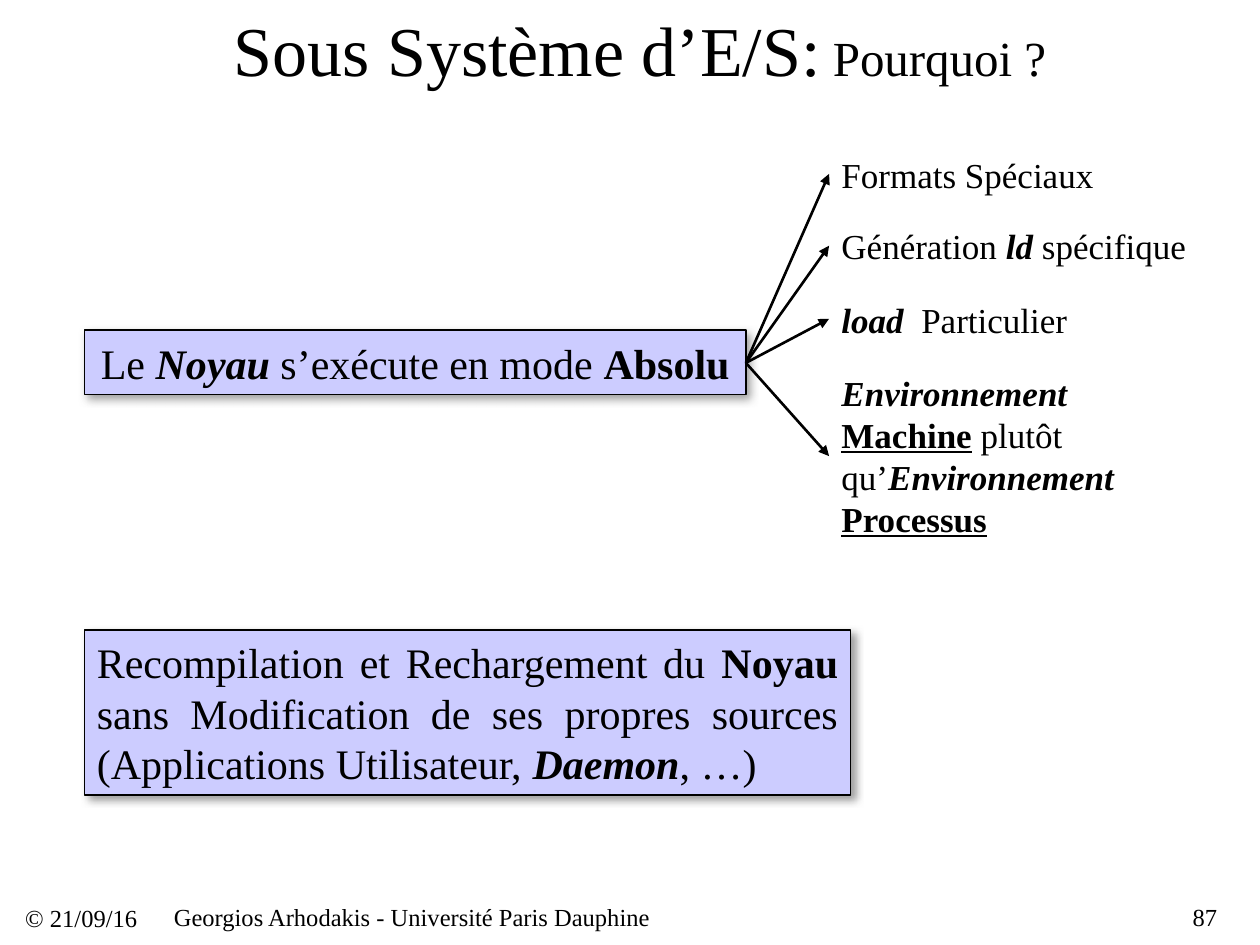
from typing import NamedTuple

from lxml import etree
from pptx import Presentation
from pptx import util as u
from pptx.dml.color import RGBColor
from pptx.enum import shapes, text
from pptx.oxml import ns

BLACK = RGBColor(0, 0, 0)
LILAC = RGBColor(0xCC, 0xCC, 0xFF)
GREY = RGBColor(0x80, 0x80, 0x80)
FONT = "Times New Roman"
ALIGN = text.PP_ALIGN


class Run(NamedTuple):
    words: str
    style: str = ""  # any of b, i, u
    size: int = 0  # 0 keeps the size of the block


class Block(NamedTuple):
    box: tuple[float, float, float, float]
    runs: list[Run]
    size: int
    align: ALIGN = ALIGN.LEFT
    inset: bool = True


def write(frame, block: Block) -> None:
    frame.word_wrap = True
    frame.auto_size = text.MSO_AUTO_SIZE.NONE
    frame.vertical_anchor = text.MSO_ANCHOR.MIDDLE
    if not block.inset:
        frame.margin_left = frame.margin_right = 0
        frame.margin_top = frame.margin_bottom = 0
    para = frame.paragraphs[0]
    para.alignment = block.align
    for part in block.runs:
        run = para.add_run()
        run.text = part.words
        font = run.font
        font.name = FONT
        font.size = u.Pt(part.size or block.size)
        font.color.rgb = BLACK
        font.bold = "b" in part.style
        font.italic = "i" in part.style
        font.underline = "u" in part.style


def place(box: tuple) -> list:
    return [u.Inches(side) for side in box]


def label(slide, block: Block) -> None:
    write(slide.shapes.add_textbox(*place(block.box)).text_frame, block)


def panel(slide, block: Block) -> None:
    rect = slide.shapes.add_shape(shapes.MSO_SHAPE.RECTANGLE, *place(block.box))
    rect.fill.solid()
    rect.fill.fore_color.rgb = LILAC
    rect.line.color.rgb = BLACK
    rect.line.width = u.Pt(0.75)
    # Soft grey shadow to the lower right
    rect.shadow.inherit = False
    glow = rect.element.spPr.find(ns.qn("a:effectLst"))
    cast = etree.SubElement(glow, ns.qn("a:outerShdw"), blurRad=str(u.Pt(5)),
                            dist=str(u.Pt(3)), dir=str(45 * 60000),
                            algn="tl", rotWithShape="0")
    tint = etree.SubElement(cast, ns.qn("a:srgbClr"), val=str(GREY))
    etree.SubElement(tint, ns.qn("a:alpha"), val="75000")
    write(rect.text_frame, block)


def arrow(slide, start: tuple, end: tuple) -> None:
    line = slide.shapes.add_connector(
        shapes.MSO_CONNECTOR.STRAIGHT, *place(start + end))
    line.line.color.rgb = BLACK
    line.line.width = u.Pt(1.5)
    etree.SubElement(line.line._get_or_add_ln(), ns.qn("a:tailEnd"),
                     type="triangle")
    etree.SubElement(line.element.spPr, ns.qn("a:effectLst"))


TITLE = Block((0.83, 0, 8.5, 0.77),
              [Run("Sous Système d’E/S:"), Run(" Pourquoi ?", size=28)],
              40, ALIGN.CENTER)

FOOT = [
    Block((0.2, 7.05, 1.08, 0.47), [Run("© 21/09/16")], 14, inset=False),
    Block((1.38, 7.16, 6.83, 0.23),
          [Run("Georgios Arhodakis - Université Paris Dauphine")], 14,
          inset=False),
    Block((8.66, 7.16, 1, 0.23), [Run("87")], 14, ALIGN.RIGHT, False),
]

PANELS = [
    Block((0.67, 2.62, 5.25, 0.51),
          [Run("Le "), Run("Noyau", "bi"), Run(" s’exécute en mode "),
           Run("Absolu", "b")], 24, ALIGN.CENTER),
    Block((0.67, 5, 6.08, 1.31),
          [Run("Recompilation et Rechargement du "), Run("Noyau", "b"),
           Run(" sans Modification de ses propres sources "
               "(Applications Utilisateur, "),
           Run("Daemon", "bi"), Run(", …)")], 24, ALIGN.JUSTIFY),
]

# Reasons on the right, all starting where the arrows end
LEFT = 6.58
HUB = (5.92, 2.88)
NOTES = [
    Block((LEFT, 1.17, 2.27, 0.43), [Run("Formats Spéciaux")], 20),
    Block((LEFT, 1.73, 3, 0.43),
          [Run("Génération "), Run("ld", "bi"), Run(" spécifique")], 20),
    Block((LEFT, 2.32, 2, 0.43),
          [Run("load", "bi"), Run("  Particulier")], 20),
    Block((LEFT, 2.9, 2.43, 1.43),
          [Run("Environnement ", "bi"), Run("Machine", "bu"),
           Run(" plutôt qu’"), Run("Environnement ", "bi"),
           Run("Processus", "bu")], 20),
]


def main() -> None:
    deck = Presentation()
    deck.slide_width, deck.slide_height = u.Inches(10), u.Inches(7.5)
    slide = deck.slides.add_slide(deck.slide_layouts[5])

    # Title
    head = slide.shapes.title
    head.left, head.top, head.width, head.height = place(TITLE.box)
    write(head.text_frame, TITLE)

    # Footer, panels and reasons
    for block in FOOT + NOTES:
        label(slide, block)
    for block in PANELS:
        panel(slide, block)

    # Arrows from the first panel to each reason
    for tip in (1.38, 1.95, 2.53, 3.62):
        arrow(slide, HUB, (LEFT, tip))

    deck.save("out.pptx")


if __name__ == "__main__":
    main()
